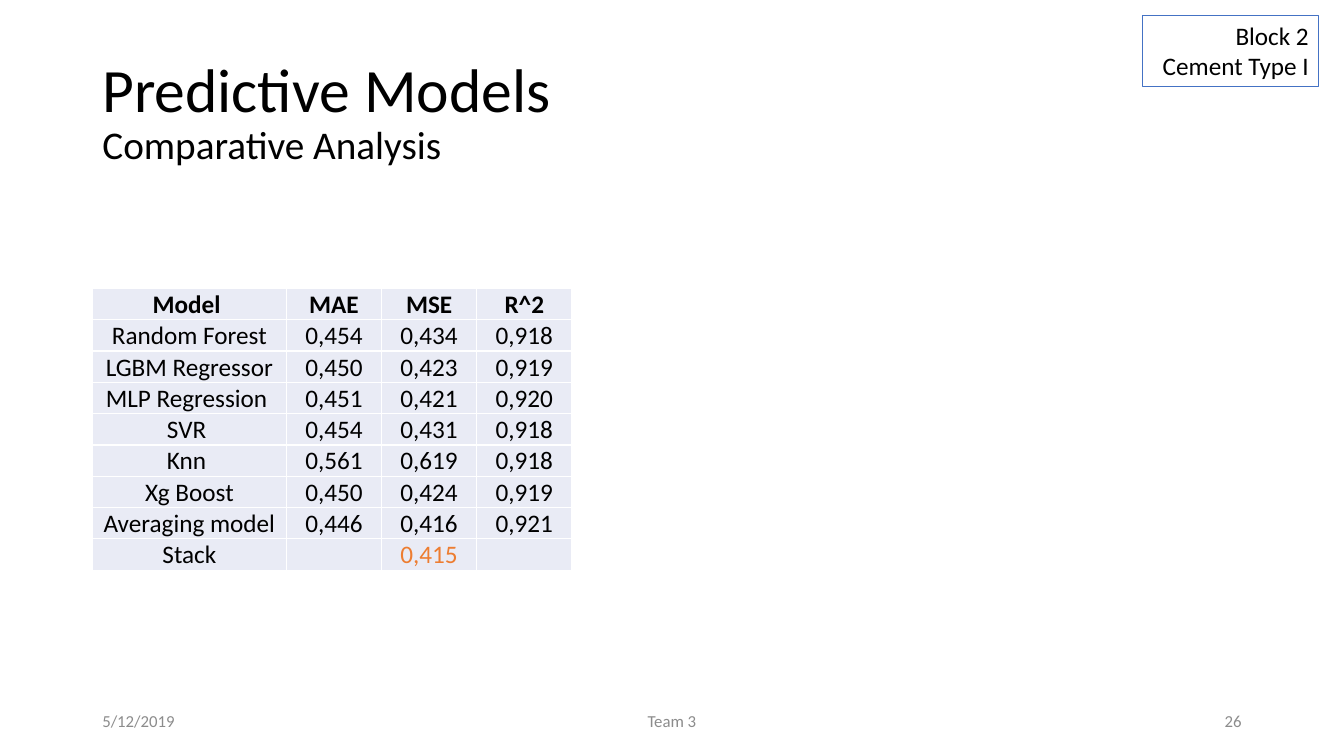
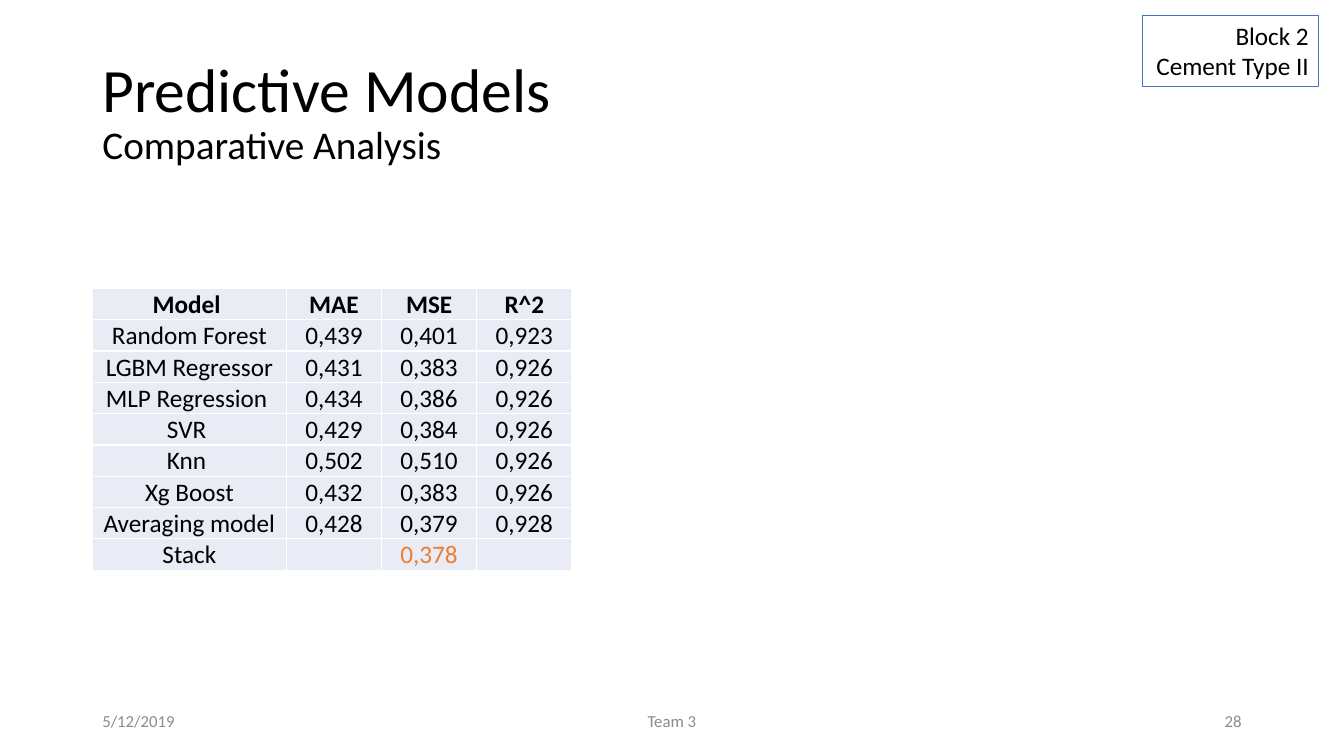
from pptx import Presentation
from pptx.dml.color import RGBColor
from pptx.enum.shapes import MSO_SHAPE as Shape
from pptx.enum.text import MSO_ANCHOR as Anchor, MSO_AUTO_SIZE as AutoSize, PP_ALIGN as Align
from pptx.oxml import parse_xml
from pptx.oxml.ns import nsdecls
from pptx.util import Pt

COLORS = {"text": "000000", "footer": "8C8C8C", "cell": "E9EBF5",
          "border": "FFFFFF", "best": "ED7D31", "tag": "4472C4"}
FONT = "Calibri"
TITLE_ONLY = 5
LEFT = 66

HEADER = ["Model ", "MAE", "MSE", "R^2"]
MODELS = ["Random Forest", "LGBM Regressor", "MLP Regression ", "SVR ", "Knn ",
          "Xg Boost", "Averaging model", "Stack"]
BEST_CELL = (len(MODELS), HEADER.index("MSE"))

# Page number, cement type, scores in the order of MODELS
RESULTS = [
    ("26", "Cement Type I", [
        ("0,454", "0,434", "0,918"), ("0,450", "0,423", "0,919"),
        ("0,451", "0,421", "0,920"), ("0,454", "0,431", "0,918"),
        ("0,561", "0,619", "0,918"), ("0,450", "0,424", "0,919"),
        ("0,446", "0,416", "0,921"), ("", "0,415", "")]),
    ("28", "Cement Type II", [
        ("0,439", "0,401", "0,923"), ("0,431", "0,383", "0,926"),
        ("0,434", "0,386", "0,926"), ("0,429", "0,384", "0,926"),
        ("0,502", "0,510", "0,926"), ("0,432", "0,383", "0,926"),
        ("0,428", "0,379", "0,928"), ("", "0,378", "")]),
]


def rgb(name):
    return RGBColor.from_string(COLORS[name])


def write(paragraph, text, size=18, color="text", bold=False, align=Align.LEFT):
    """Add one formatted run to a paragraph."""
    paragraph.alignment = align
    run = paragraph.add_run()
    run.text = text
    run.font.name = FONT
    run.font.size = Pt(size)
    run.font.bold = bold
    run.font.color.rgb = rgb(color)


def add_borders(cell, color, width=1):
    properties = cell._tc.get_or_add_tcPr()
    for side in ("lnL", "lnR", "lnT", "lnB"):
        properties.append(parse_xml(
            f'<a:{side} {nsdecls("a")} w="{Pt(width)}"><a:solidFill>'
            f'<a:srgbClr val="{COLORS[color]}"/></a:solidFill></a:{side}>'))


class Deck:
    def __init__(self):
        self.presentation = Presentation()
        self.presentation.slide_width = Pt(960)
        self.presentation.slide_height = Pt(540)
        self.slide = None

    def new_slide(self):
        layout = self.presentation.slide_layouts[TITLE_ONLY]
        self.slide = self.presentation.slides.add_slide(layout)

    def title(self, heading, subheading):
        title = self.slide.shapes.title
        title.left, title.top, title.width, title.height = Pt(LEFT), Pt(28.8), Pt(466.6), Pt(104.4)
        frame = title.text_frame
        frame.auto_size = AutoSize.NONE
        frame.vertical_anchor = Anchor.MIDDLE
        paragraph = frame.paragraphs[0]
        paragraph.line_spacing = 0.9
        write(paragraph, heading, size=44)
        paragraph.add_line_break()
        write(paragraph, subheading, size=28)

    def footer(self, date, team, page):
        parts = [(date, LEFT, 216, Align.LEFT), (team, 318, 324, Align.CENTER),
                 (page, 678, 216, Align.RIGHT)]
        for text, left, width, align in parts:
            box = self.slide.shapes.add_textbox(Pt(left), Pt(500.5), Pt(width), Pt(28.8))
            frame = box.text_frame
            frame.word_wrap = True
            frame.vertical_anchor = Anchor.MIDDLE
            write(frame.paragraphs[0], text, size=12, color="footer", align=align)

    def table(self, rows, highlight, widths=(138.6, 68, 68, 68), row_height=22.2):
        shape = self.slide.shapes.add_table(
            len(rows), len(widths), Pt(LEFT), Pt(206), Pt(sum(widths)), Pt(row_height * len(rows)))
        table = shape.table
        for column, width in zip(table.columns, widths):
            column.width = Pt(width)
        for row_index, row in enumerate(rows):
            for column_index, text in enumerate(row):
                cell = table.cell(row_index, column_index)
                cell.margin_left = cell.margin_right = cell.margin_top = Pt(0.75)
                cell.margin_bottom = Pt(0)
                cell.vertical_anchor = Anchor.BOTTOM
                add_borders(cell, "border")
                cell.fill.solid()
                cell.fill.fore_color.rgb = rgb("cell")
                if text:
                    color = "best" if (row_index, column_index) == highlight else "text"
                    write(cell.text_frame.paragraphs[0], text, color=color,
                          bold=row_index == 0, align=Align.CENTER)

    def tag(self, *lines):
        box = self.slide.shapes.add_shape(Shape.RECTANGLE, Pt(816), Pt(10.8), Pt(126), Pt(50.9))
        box.shadow.inherit = False
        box.fill.background()
        box.line.color.rgb = rgb("tag")
        box.line.width = Pt(0.75)
        frame = box.text_frame
        frame.word_wrap = True
        frame.vertical_anchor = Anchor.TOP
        for index, line in enumerate(lines):
            paragraph = frame.add_paragraph() if index else frame.paragraphs[0]
            write(paragraph, line, align=Align.RIGHT)


def main():
    deck = Deck()
    for page, cement, scores in RESULTS:
        deck.new_slide()
        deck.title("Predictive Models", "Comparative Analysis")
        deck.footer("5/12/2019", "Team 3", page)
        rows = [HEADER] + [[model, *values] for model, values in zip(MODELS, scores)]
        deck.table(rows, BEST_CELL)
        deck.tag("Block 2", cement)
    deck.presentation.save("out.pptx")


if __name__ == "__main__":
    main()
